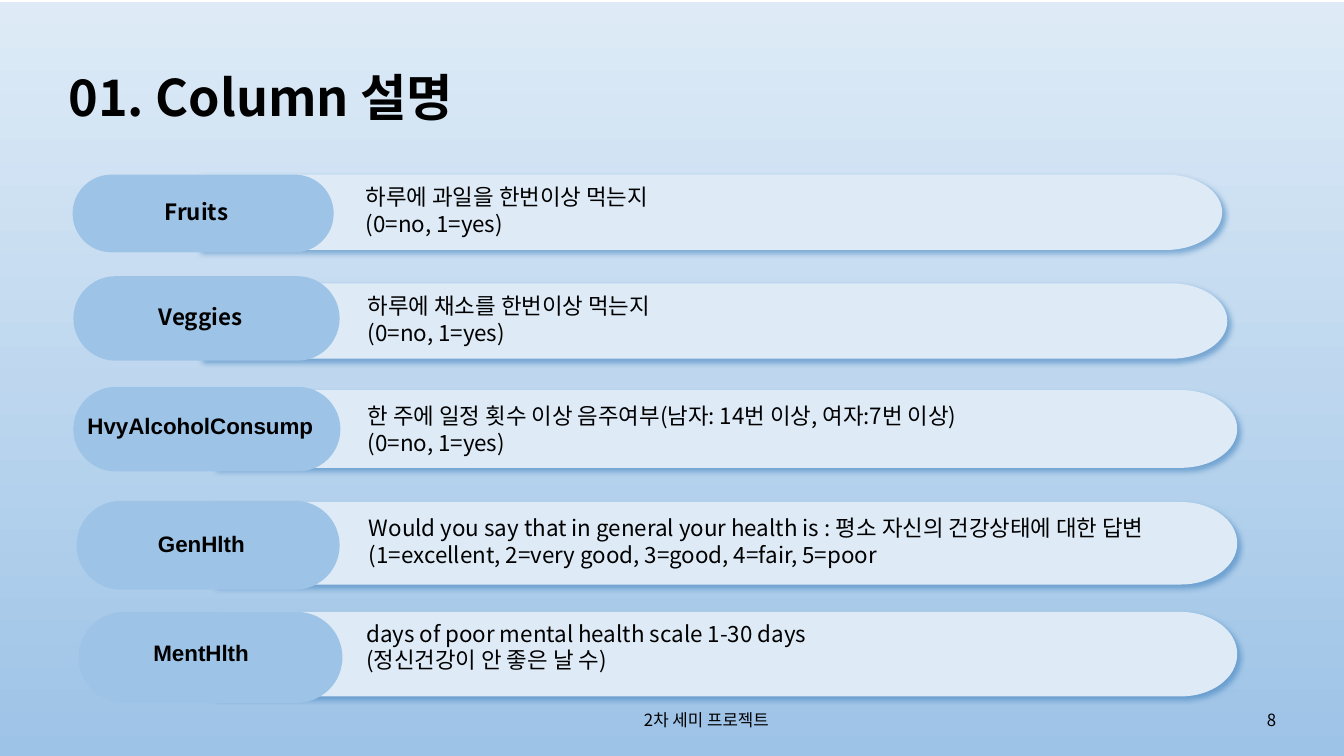
from lxml.etree import SubElement
from pptx import Presentation
from pptx.dml.color import RGBColor
from pptx.enum.shapes import MSO_SHAPE as SHAPE
from pptx.enum.text import MSO_ANCHOR as ANCHOR, MSO_AUTO_SIZE as AUTO, PP_ALIGN as ALIGN
from pptx.oxml.ns import qn
from pptx.util import Cm, Pt

BLACK = RGBColor(0x00, 0x00, 0x00)
PALE = RGBColor(0xDE, 0xEB, 0xF7)
BLUE = RGBColor(0x9D, 0xC3, 0xE6)
SHADOW = RGBColor(0x2E, 0x75, 0xB6)
KOREAN = "Noto Sans CJK KR"

# label, font, description lines, then bar, pill, label and description boxes in cm
ROWS = [
    ("Fruits", KOREAN, ["하루에 과일을 한번이상 먹는지", "(0=no, 1=yes)"],
     (5, 4.4, 25.8, 1.9), (1.83, 4.4, 6.58, 1.96),
     (1.14, 4.85, 7.62, 0.95), (8.97, 4.5, 23, 1.63)),
    ("Veggies", KOREAN, ["하루에 채소를 한번이상 먹는지", "(0=no, 1=yes)"],
     (5.03, 7.14, 25.9, 1.9), (1.85, 6.96, 6.71, 2.13),
     (1.17, 7.49, 7.77, 0.95), (9.02, 7.24, 23, 2.31)),
    ("HvyAlcoholConsump", "Arial",
     ["한 주에 일정 횟수 이상 음주여부(남자: 14번 이상, 여자:7번 이상)", "(0=no, 1=yes)"],
     (5.38, 9.83, 25.8, 1.96), (1.85, 9.75, 6.73, 2.13),
     (1.55, 10.26, 7, 0.95), (9.02, 10, 19.18, 1.63)),
    ("GenHlth", "Arial",
     ["Would you say that in general your health is : 평소 자신의 건강상태에 대한 답변",
      "(1=excellent, 2=very good, 3=good, 4=fair, 5=poor"],
     (5.38, 12.65, 25.8, 2.08), (1.93, 12.62, 6.63, 2.24),
     (1.24, 13.23, 7.67, 0.95), (9.05, 12.83, 21.95, 1.63)),
    ("MentHlth", "Arial",
     ["days of poor mental health scale 1-30 days", "(정신건강이 안 좋은 날 수)"],
     (5.38, 15.42, 25.8, 2.13), (1.98, 15.42, 6.65, 2.29),
     (1.52, 15.98, 7.1, 0.95), (8.98, 15.49, 21.3, 1.63)),
]


def write(sp, lines, size, font=KOREAN, align=ALIGN.LEFT, bold=False, anchor=ANCHOR.MIDDLE):
    tf = sp.text_frame
    tf.word_wrap = True
    tf.vertical_anchor = anchor
    tf.text = "\n".join(lines)
    for p in tf.paragraphs:
        p.alignment = align
        p.font.size = Pt(size)
        p.font.bold = bold
        p.font.color.rgb = BLACK
        p.font.name = font
        SubElement(p._p.pPr.find(qn("a:defRPr")), qn("a:ea"), typeface=font)
    return tf


def add_bar(shapes, left, top, width, height):
    """Bar with a rounded right end and a bite out of its left end."""
    # x in cm from the left edge, y as a share of the height
    outline = [
        (width - 1.42, 0),
        (width - 0.64, 0), (width, 0.22), (width, 0.5),
        (width, 0.78), (width - 0.64, 1), (width - 1.42, 1),
        (0, 1), (0, 0.83), (0.1, 0.83),
        (0.64, 0.8), (1.04, 0.67), (1.04, 0.51),
        (1.04, 0.35), (0.64, 0.22), (0.1, 0.19),
        (0, 0.19),
    ]
    fb = shapes.build_freeform(Cm(left), Cm(top))
    fb.add_line_segments([(Cm(left + x), Cm(top + y * height)) for x, y in outline])
    sp = fb.convert_to_shape()

    # Three points in a row become one curve
    outline_path = next(sp._element.iter(qn("a:path")))
    segments = outline_path.findall(qn("a:lnTo"))
    for first in (1, 4, 10, 13):
        curve = SubElement(outline_path, qn("a:cubicBezTo"))
        segments[first].addprevious(curve)
        for segment in segments[first:first + 3]:
            curve.append(segment[0])
            outline_path.remove(segment)
    SubElement(outline_path, qn("a:close"))

    sp.fill.solid()
    sp.fill.fore_color.rgb = PALE
    sp.line.fill.background()
    sp.shadow.inherit = False
    shadow = SubElement(sp._element.spPr.find(qn("a:effectLst")), qn("a:outerShdw"),
                        blurRad=str(Pt(4)), dist=str(Pt(3)), dir="2700000",
                        algn="tl", rotWithShape="0")
    color = SubElement(shadow, qn("a:srgbClr"), val=str(SHADOW))
    SubElement(color, qn("a:alpha"), val="50000")


prs = Presentation()
prs.slide_width, prs.slide_height = Cm(33.87), Cm(19.05)
s = prs.slides.add_slide(prs.slide_layouts[5])
title = s.shapes.title

backdrop = s.shapes.add_shape(SHAPE.RECTANGLE, 0, Cm(0.05), prs.slide_width, prs.slide_height)
title._element.addprevious(backdrop._element)
backdrop.line.fill.background()
backdrop.shadow.inherit = False
backdrop.fill.gradient()
backdrop.fill.gradient_angle = 270
for stop, color, position in zip(backdrop.fill.gradient_stops, (PALE, BLUE), (0, 1)):
    stop.color.rgb = color
    stop.position = position

title.left, title.top, title.width, title.height = Cm(1.47), Cm(1.33), Cm(30.94), Cm(2.39)
tf = write(title, ["01. Column 설명"], 36, bold=True)
tf.paragraphs[0].line_spacing = 0.9

for label, font, lines, bar, pill, label_box, text_box in ROWS:
    add_bar(s.shapes, *bar)

    group = s.shapes.add_group_shape()
    sp = group.shapes.add_shape(SHAPE.ROUNDED_RECTANGLE, *map(Cm, pill))
    sp.adjustments[0] = 0.5
    sp.fill.solid()
    sp.fill.fore_color.rgb = BLUE
    sp.line.fill.background()
    sp.shadow.inherit = False
    sp = group.shapes.add_textbox(*map(Cm, label_box))
    write(sp, [label], 16, font, ALIGN.CENTER, True).auto_size = AUTO.SHAPE_TO_FIT_TEXT

    sp = s.shapes.add_textbox(*map(Cm, text_box))
    write(sp, lines, 16, anchor=ANCHOR.TOP).auto_size = AUTO.SHAPE_TO_FIT_TEXT

footer = s.shapes.add_textbox(Cm(12.09), Cm(17.63), Cm(11.43), Cm(1.02))
write(footer, ["2차 세미 프로젝트"], 12, align=ALIGN.CENTER)
number = s.shapes.add_textbox(Cm(24.79), Cm(17.63), Cm(7.62), Cm(1.02))
write(number, ["8"], 12, align=ALIGN.RIGHT)

prs.save("out.pptx")
